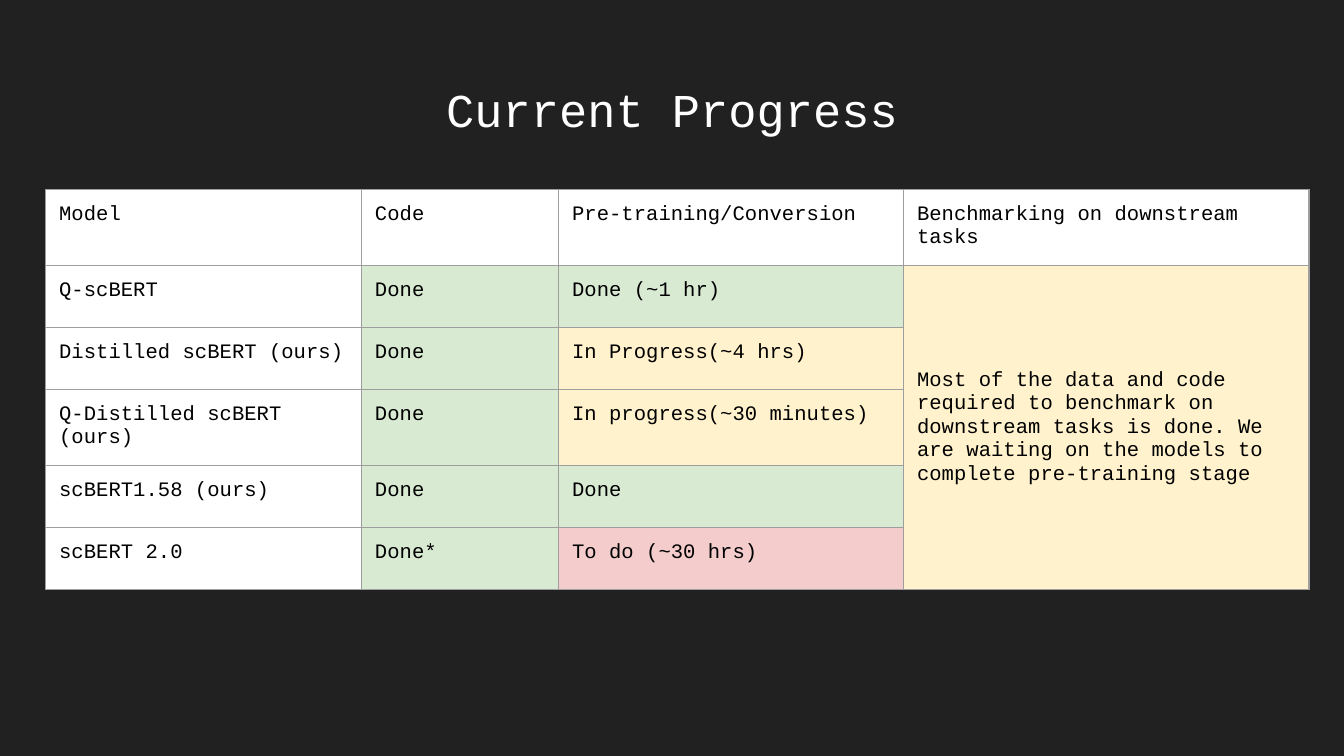
from lxml import etree
from pptx import Presentation
from pptx.dml.color import RGBColor
from pptx.enum.text import MSO_ANCHOR, PP_ALIGN
from pptx.oxml.ns import qn
from pptx.util import Pt

CENTER = PP_ALIGN.CENTER
TOP = MSO_ANCHOR.TOP
MIDDLE = MSO_ANCHOR.MIDDLE

BACKGROUND = RGBColor(0x21, 0x21, 0x21)
WHITE = RGBColor(0xFF, 0xFF, 0xFF)
BLACK = RGBColor(0x00, 0x00, 0x00)
GRAY = RGBColor(0x9E, 0x9E, 0x9E)
GREEN = RGBColor(0xD9, 0xEA, 0xD3)
YELLOW = RGBColor(0xFF, 0xF2, 0xCC)
RED = RGBColor(0xF4, 0xCC, 0xCC)

FONT = "Courier New"
INSET = Pt(7.2)
BORDER_WIDTH = Pt(0.75)
COLUMN_WIDTHS = [169.2, 105.6, 184.8, 217.2]
HEADER_HEIGHT = 34.5
ROW_HEIGHT = 33.2

HEADERS = ["Model", "Code", "Pre-training/Conversion", "Benchmarking on downstream tasks"]
MODELS = [
    ("Q-scBERT", "Done", "Done (~1 hr)", GREEN),
    ("Distilled scBERT (ours)", "Done", "In Progress(~4 hrs)", YELLOW),
    ("Q-Distilled scBERT (ours)", "Done", "In progress(~30 minutes)", YELLOW),
    ("scBERT1.58 (ours)", "Done", "Done", GREEN),
    ("scBERT 2.0", "Done*", "To do (~30 hrs)", RED),
]
BENCHMARKING = (
    "Most of the data and code required to benchmark on downstream tasks is done. "
    "We are waiting on the models to complete pre-training stage"
)


def set_margins(target):
    target.margin_left = target.margin_right = INSET
    target.margin_top = target.margin_bottom = INSET


def write_text(text_frame, text, size, color):
    text_frame.text = text
    text_frame.word_wrap = True
    for run in text_frame.paragraphs[0].runs:
        run.font.name = FONT
        run.font.size = Pt(size)
        run.font.color.rgb = color


def add_borders(cell):
    properties = cell._tc.get_or_add_tcPr()
    for side in ("a:lnL", "a:lnR", "a:lnT", "a:lnB"):
        line = etree.SubElement(properties, qn(side), w=str(BORDER_WIDTH))
        fill = etree.SubElement(line, qn("a:solidFill"))
        etree.SubElement(fill, qn("a:srgbClr"), val=str(GRAY))


def fill_cell(cell, text, color, anchor=TOP):
    write_text(cell.text_frame, text, 11, BLACK)
    set_margins(cell)
    cell.vertical_anchor = anchor
    cell.fill.solid()
    cell.fill.fore_color.rgb = color


def add_title(slide, left, top, width, height):
    title = slide.shapes.add_textbox(Pt(left), Pt(top), Pt(width), Pt(height))
    text_frame = title.text_frame
    write_text(text_frame, "Current Progress", 25.2, WHITE)
    set_margins(text_frame)
    text_frame.vertical_anchor = MIDDLE
    text_frame.paragraphs[0].alignment = CENTER


def add_progress_table(slide, left, top):
    width = sum(COLUMN_WIDTHS)
    height = HEADER_HEIGHT + ROW_HEIGHT * len(MODELS)
    table = slide.shapes.add_table(
        len(MODELS) + 1, len(HEADERS), Pt(left), Pt(top), Pt(width), Pt(height)
    ).table
    for column, column_width in zip(table.columns, COLUMN_WIDTHS):
        column.width = Pt(column_width)
    for row in table.rows:
        row.height = Pt(ROW_HEIGHT)
    table.rows[0].height = Pt(HEADER_HEIGHT)
    for cell in table.iter_cells():
        add_borders(cell)

    for column, header in enumerate(HEADERS):
        fill_cell(table.cell(0, column), header, WHITE)
    for row, (model, code, training, status_color) in enumerate(MODELS, start=1):
        fill_cell(table.cell(row, 0), model, WHITE)
        fill_cell(table.cell(row, 1), code, GREEN)
        fill_cell(table.cell(row, 2), training, status_color)
        fill_cell(table.cell(row, 3), "", YELLOW)

    benchmarking_cell = table.cell(1, 3)
    benchmarking_cell.merge(table.cell(len(MODELS), 3))
    fill_cell(benchmarking_cell, BENCHMARKING, YELLOW, MIDDLE)


def main():
    presentation = Presentation()
    presentation.slide_width = Pt(720)
    presentation.slide_height = Pt(405)
    slide = presentation.slides.add_slide(presentation.slide_layouts[6])
    slide.background.fill.solid()
    slide.background.fill.fore_color.rgb = BACKGROUND
    add_title(slide, 24.5, 35.3, 671, 45.4)
    add_progress_table(slide, 24.5, 101.5)
    presentation.save("out.pptx")


if __name__ == "__main__":
    main()
